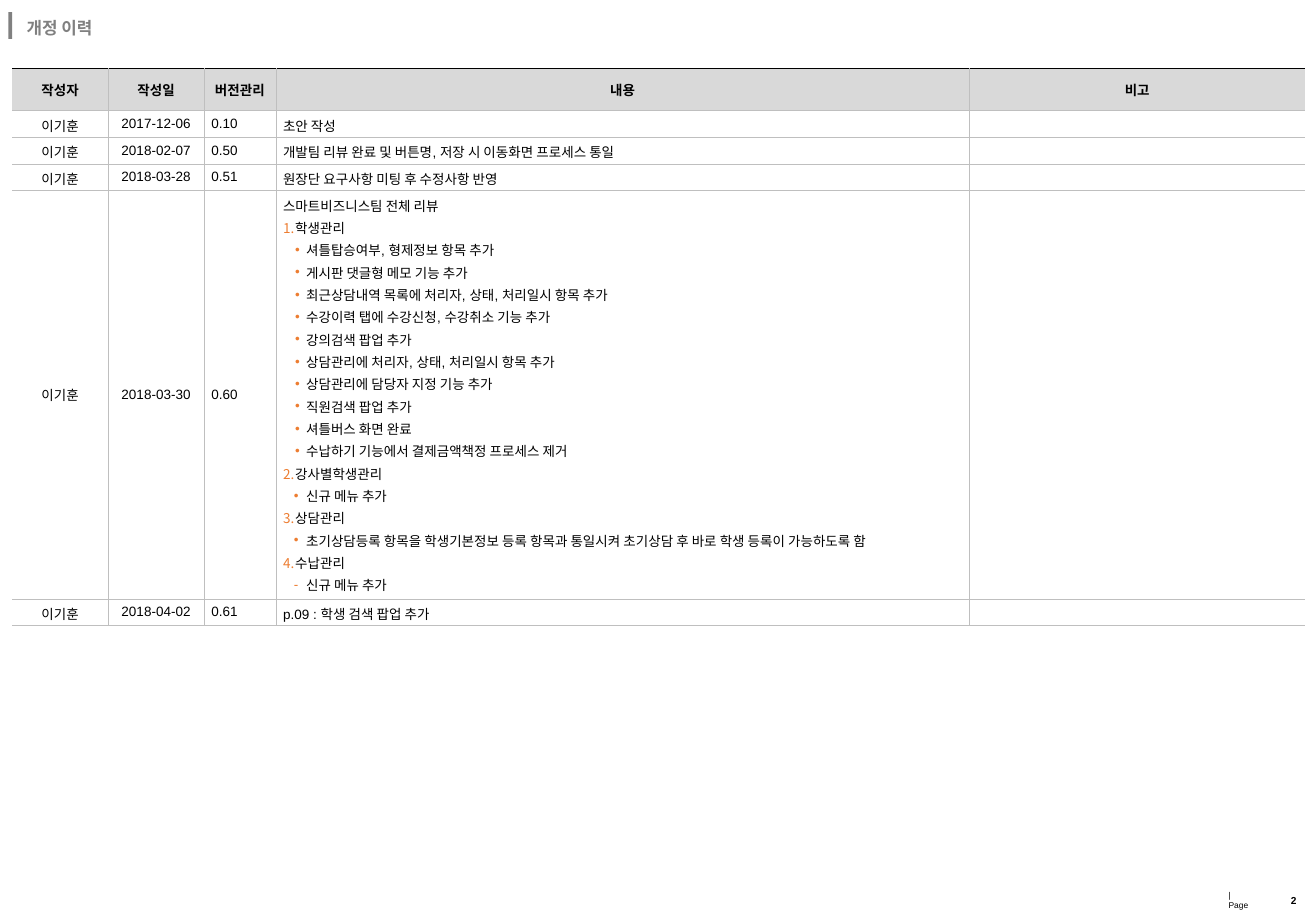
from dataclasses import dataclass

from lxml import etree
from pptx import Presentation
from pptx import util as u
from pptx.dml.color import RGBColor
from pptx.enum import shapes, text
from pptx.oxml.ns import qn


@dataclass(frozen=True)
class Theme:
    font: str = "Arial"
    black: str = "000000"
    gray: str = "808080"
    header: str = "D9D9D9"
    body: str = "FFFFFF"
    rule: str = "BFBFBF"
    accent: str = "ED7D31"
    title_size: int = 10
    table_size: int = 8
    label_size: int = 5
    number_size: int = 6


theme = Theme()
CENTER, LEFT, RIGHT = text.PP_ALIGN.CENTER, text.PP_ALIGN.LEFT, text.PP_ALIGN.RIGHT


def add_span(para, words, size, color=theme.black, bold=False):
    span = para.add_run()
    span.text = words
    span.font.name = theme.font
    span.font.size = u.Pt(size)
    span.font.bold = bold
    span.font.color.rgb = RGBColor.from_string(color)


def add_node(parent, tag, **attributes):
    return etree.SubElement(parent, qn(tag), {k: str(v) for k, v in attributes.items()})


deck = Presentation()
deck.slide_width, deck.slide_height = u.Inches(10.83), u.Inches(7.5)
page = deck.slides.add_slide(deck.slide_layouts[6])

# Title marker
marker = page.shapes.add_shape(
    shapes.MSO_SHAPE.RECTANGLE, u.Inches(0.07), u.Inches(0.1), u.Inches(0.03), u.Inches(0.22))
marker.shadow.inherit = False
marker.fill.solid()
marker.fill.fore_color.rgb = RGBColor.from_string(theme.gray)
marker.line.fill.background()

# Title, page label and page number
labels = [
    ("개정 이력", (0.15, 0.08, 4.34, 0.29), 0.07, theme.title_size, theme.gray, True, LEFT),
    ("|  Page", (10.07, 7.33, 0.3, 0.16), 0.04, theme.label_size, theme.black, False, LEFT),
    ("2", (10.43, 7.32, 0.31, 0.18), 0.07, theme.number_size, theme.black, True, RIGHT),
]
for words, place, inset, size, color, bold, align in labels:
    box = page.shapes.add_textbox(*map(u.Inches, place))
    frame = box.text_frame
    frame.word_wrap = words != "|  Page"
    frame.vertical_anchor = text.MSO_ANCHOR.MIDDLE
    frame.margin_left = frame.margin_right = u.Inches(inset)
    frame.margin_top = frame.margin_bottom = u.Inches(0.04)
    para = frame.paragraphs[0]
    para.alignment = align
    add_span(para, words, size, color, bold)

# Review notes: numbered topics, each with its bulleted points
review = [
    ("학생관리", "•", 0.09, [
        "셔틀탑승여부, 형제정보 항목 추가",
        "게시판 댓글형 메모 기능 추가",
        "최근상담내역 목록에 처리자, 상태, 처리일시 항목 추가",
        "수강이력 탭에 수강신청, 수강취소 기능 추가",
        "강의검색 팝업 추가",
        "상담관리에 처리자, 상태, 처리일시 항목 추가",
        "상담관리에 담당자 지정 기능 추가",
        "직원검색 팝업 추가",
        "셔틀버스 화면 완료",
        "수납하기 기능에서 결제금액책정 프로세스 제거",
    ]),
    ("강사별학생관리", "•", 0.1, ["신규 메뉴 추가"]),
    ("상담관리", "•", 0.1, [
        "초기상담등록 항목을 학생기본정보 등록 항목과 통일시켜 초기상담 후 바로 학생 등록이 가능하도록 함",
    ]),
    ("수납관리", "-", 0.1, ["신규 메뉴 추가"]),
]
# Each line: words, bullet (number or character), left margin, hanging indent
review_lines = [("스마트비즈니스팀 전체 리뷰", None, 0, 0)]
for number, (topic, bullet, hang, points) in enumerate(review, 1):
    review_lines.append((topic, number, 0.1, 0.1))
    review_lines += [(point, bullet, 0.19, hang) for point in points]

# Table contents
author = "이기훈"
rows = [
    ["작성자", "작성일", "버전관리", "내용", "비고"],
    [author, "2017-12-06", "0.10", "초안 작성", ""],
    [author, "2018-02-07", "0.50", "개발팀 리뷰 완료 및 버튼명, 저장 시 이동화면 프로세스 통일", ""],
    [author, "2018-03-28", "0.51", "원장단 요구사항 미팅 후 수정사항 반영", ""],
    [author, "2018-03-30", "0.60", review_lines, ""],
    [author, "2018-04-02", "0.61", "p.09 : 학생 검색 팝업 추가", ""],
]
widths = [0.79, 0.79, 0.59, 5.71, 2.76]
heights = [0.35, 0.22, 0.22, 0.22, 3.36, 0.22]

# Revision table
grid = page.shapes.add_table(
    len(rows), len(widths), u.Inches(0.1), u.Inches(0.56),
    u.Inches(sum(widths)), u.Inches(sum(heights))).table
grid.first_row = grid.horz_banding = False
for column, width in zip(grid.columns, widths):
    column.width = u.Inches(width)
for row, height in zip(grid.rows, heights):
    row.height = u.Inches(height)

for r, row in enumerate(rows):
    for c, content in enumerate(row):
        cell = grid.cell(r, c)
        is_header = r == 0
        cell.vertical_anchor = text.MSO_ANCHOR.MIDDLE
        cell.margin_left = cell.margin_right = u.Inches(0.06)
        cell.margin_top = cell.margin_bottom = u.Inches(0.04)

        # Borders, open on the outer left and right sides
        edges = {"a:lnL": c > 0, "a:lnR": c < len(widths) - 1, "a:lnT": True, "a:lnB": True}
        props = cell._tc.get_or_add_tcPr()
        for edge, visible in edges.items():
            line = add_node(props, edge, w=u.Pt(0.25))
            if visible:
                color = theme.black if is_header and edge == "a:lnT" else theme.rule
                add_node(add_node(line, "a:solidFill"), "a:srgbClr", val=color)
            else:
                add_node(line, "a:noFill")
        cell.fill.solid()
        cell.fill.fore_color.rgb = RGBColor.from_string(
            theme.header if is_header else theme.body)

        # Text, with bullets where a line has one
        lines = content if isinstance(content, list) else [(content, None, 0, 0)]
        for i, (words, bullet, margin, hang) in enumerate(lines):
            para = cell.text_frame.paragraphs[0] if i == 0 else cell.text_frame.add_paragraph()
            para.alignment = CENTER if is_header or c < 2 else LEFT
            para_props = para._p.get_or_add_pPr()
            add_node(add_node(para_props, "a:spcBef"), "a:spcPct", val=20000)
            if bullet:
                para_props.set("marL", str(u.Inches(margin)))
                para_props.set("indent", str(-u.Inches(hang)))
                add_node(add_node(para_props, "a:buClr"), "a:srgbClr", val=theme.accent)
                add_node(para_props, "a:buFont", typeface=theme.font)
                if isinstance(bullet, int):
                    add_node(para_props, "a:buAutoNum", type="arabicPeriod", startAt=bullet)
                else:
                    add_node(para_props, "a:buChar", char=bullet)
            if words:
                add_span(para, words, theme.table_size, bold=is_header)
            else:
                add_node(para._p, "a:endParaRPr", sz=theme.table_size * 100)

deck.save("out.pptx")
